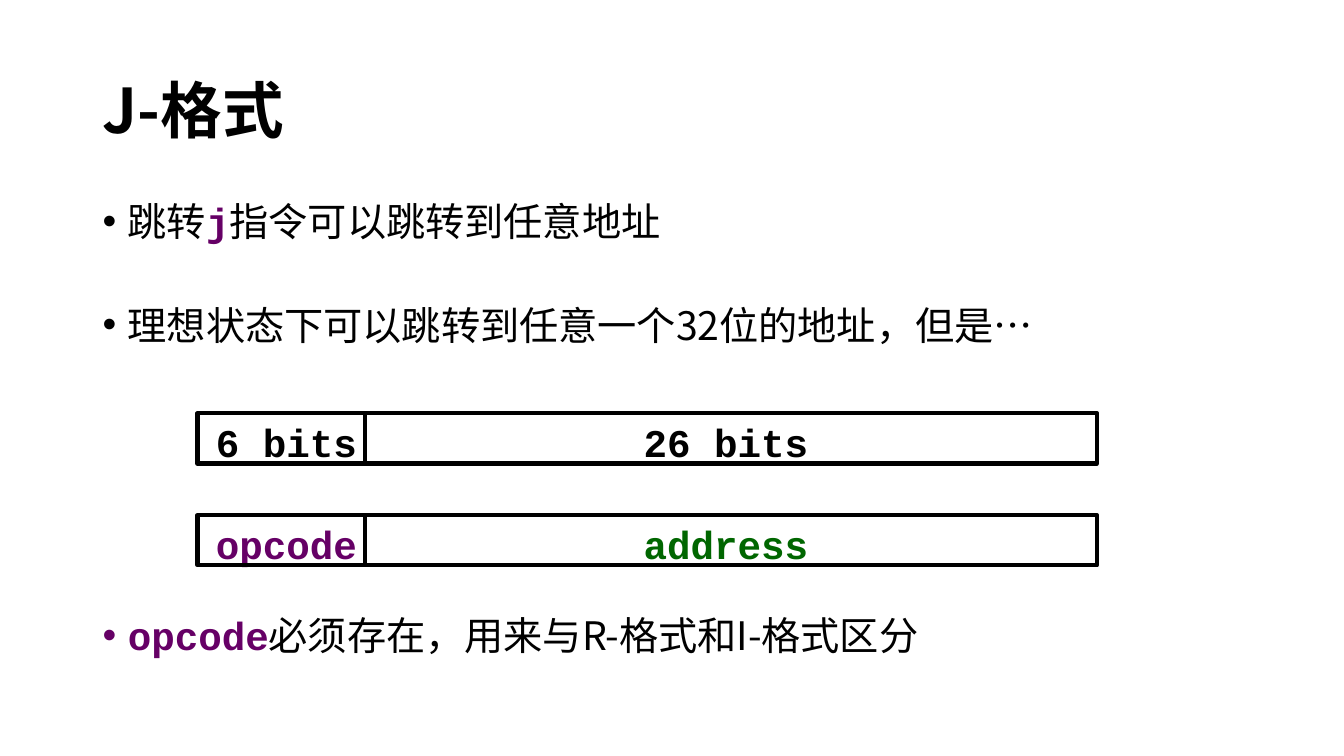
"""Build the J-format instruction slide."""
from lxml import etree
from pptx import Presentation
from pptx.dml.color import RGBColor
from pptx.enum.shapes import MSO_CONNECTOR, MSO_SHAPE
from pptx.enum.text import MSO_ANCHOR, MSO_AUTO_SIZE, PP_ALIGN
from pptx.oxml.ns import qn
from pptx.util import Inches, Pt

STRAIGHT = MSO_CONNECTOR.STRAIGHT
RECTANGLE = MSO_SHAPE.RECTANGLE
MIDDLE, TOP = MSO_ANCHOR.MIDDLE, MSO_ANCHOR.TOP
CENTER, LEFT = PP_ALIGN.CENTER, PP_ALIGN.LEFT
FIT_SHAPE = MSO_AUTO_SIZE.SHAPE_TO_FIT_TEXT

COLORS = {"black": "000000", "purple": "660066", "green": "006600"}
SANS, MONO = "Noto Sans CJK SC", "Courier New"

TITLE = "J-格式"
BULLETS = [
    (0, [("跳转", SANS, "black"), ("j", MONO, "purple"),
         ("指令可以跳转到任意地址", SANS, "black")]),
    (47, [("理想状态下可以跳转到任意一个32位的地址，但是…", SANS, "black")]),
    (195, [("opcode", MONO, "purple"),
           ("必须存在，用来与R-格式和I-格式区分", SANS, "black")]),
]
FIELD_ROWS = [
    [("6 bits", "black"), ("26 bits", "black")],
    [("opcode", "purple"), ("address", "green")],
]
LABEL_PLACES = [(2.84, 1.6), (7.2, 1.84)]
ROW_TOP, ROW_STEP, ROW_HEIGHT, LABEL_HEIGHT = 4.1, 1.01, 0.5, 0.57
ROW_LEFT, ROW_WIDTH, DIVIDER = 1.96, 8.92, 3.62


def color(name):
    return RGBColor.from_string(COLORS[name])


def add_box(shapes, left, top, width, height, **frame_format):
    box = shapes.add_textbox(*map(Inches, (left, top, width, height)))
    frame_format = {"word_wrap": True, "vertical_anchor": TOP, **frame_format}
    for name, value in frame_format.items():
        setattr(box.text_frame, name, value)
    return box.text_frame


def add_span(para, text, font, color_name, size=28, bold=True):
    span = para.add_run()
    span.text = text
    for name, value in {"name": font, "size": Pt(size), "bold": bold}.items():
        setattr(span.font, name, value)
    span.font.color.rgb = color(color_name)
    properties = span.font._element
    etree.SubElement(properties, qn("a:ea")).set("typeface", font)


def add_bullets(shapes):
    frame = add_box(shapes, 0.92, 2, 11.5, 4.99)
    for index, (space, spans) in enumerate(BULLETS):
        para = frame.add_paragraph() if index else frame.paragraphs[0]
        properties = para._p.get_or_add_pPr()
        properties.set("marL", str(Inches(0.25)))
        properties.set("indent", str(-Inches(0.25)))
        etree.SubElement(properties, qn("a:buFont")).set("typeface", "Arial")
        etree.SubElement(properties, qn("a:buChar")).set("char", "•")
        para.alignment = LEFT
        para.line_spacing = 0.8
        para.space_before = Pt(space)
        for text, font, color_name in spans:
            add_span(para, text, font, color_name, bold=font == MONO)


def add_field_row(shapes, top, fields):
    for (text, color_name), (center, width) in zip(fields, LABEL_PLACES):
        frame = add_box(shapes, center - width / 2, top, width, LABEL_HEIGHT,
                        word_wrap=False, auto_size=FIT_SHAPE)
        para = frame.paragraphs[0]
        para.alignment = CENTER
        add_span(para, text, MONO, color_name)
    divider = shapes.add_connector(
        STRAIGHT, *map(Inches, (DIVIDER, top, DIVIDER, top + ROW_HEIGHT)))
    etree.SubElement(divider._element.spPr, qn("a:effectLst"))
    outline = shapes.add_shape(
        RECTANGLE, *map(Inches, (ROW_LEFT, top, ROW_WIDTH, ROW_HEIGHT)))
    outline.shadow.inherit = False
    outline.fill.background()
    for shape, weight in ((divider, 2.25), (outline, 3)):
        shape.line.color.rgb = color("black")
        shape.line.width = Pt(weight)


def main():
    deck = Presentation()
    deck.slide_width, deck.slide_height = Inches(13.33), Inches(7.5)
    page = deck.slides.add_slide(deck.slide_layouts[6])
    title = add_box(page.shapes, 0.92, 0.4, 11.5, 1.45, vertical_anchor=MIDDLE)
    title.paragraphs[0].line_spacing = 0.9
    add_span(title.paragraphs[0], TITLE, SANS, "black", size=44)
    add_bullets(page.shapes)
    for index, fields in enumerate(FIELD_ROWS):
        group = page.shapes.add_group_shape()
        add_field_row(group.shapes, ROW_TOP + index * ROW_STEP, fields)
    deck.save("out.pptx")


if __name__ == "__main__":
    main()
